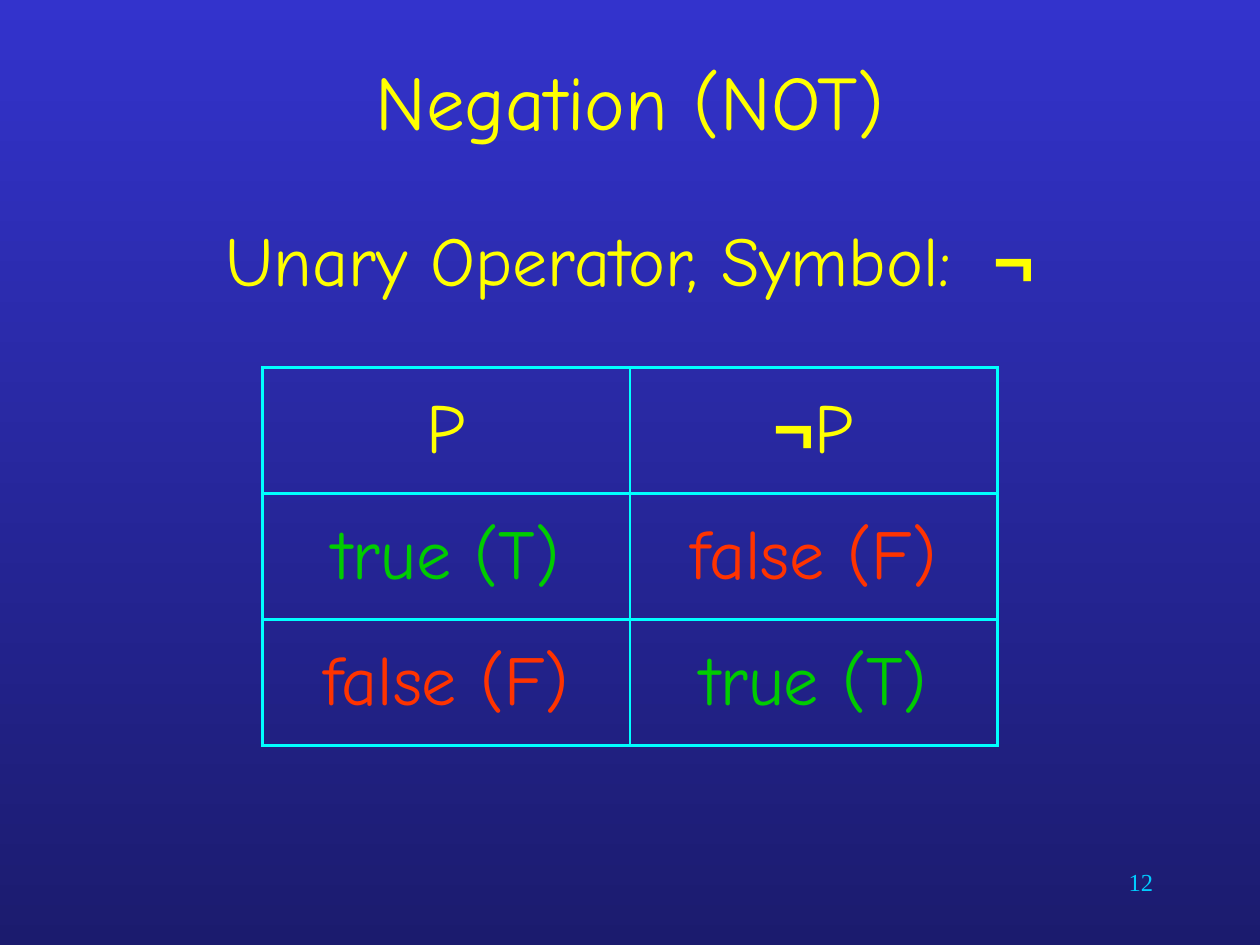
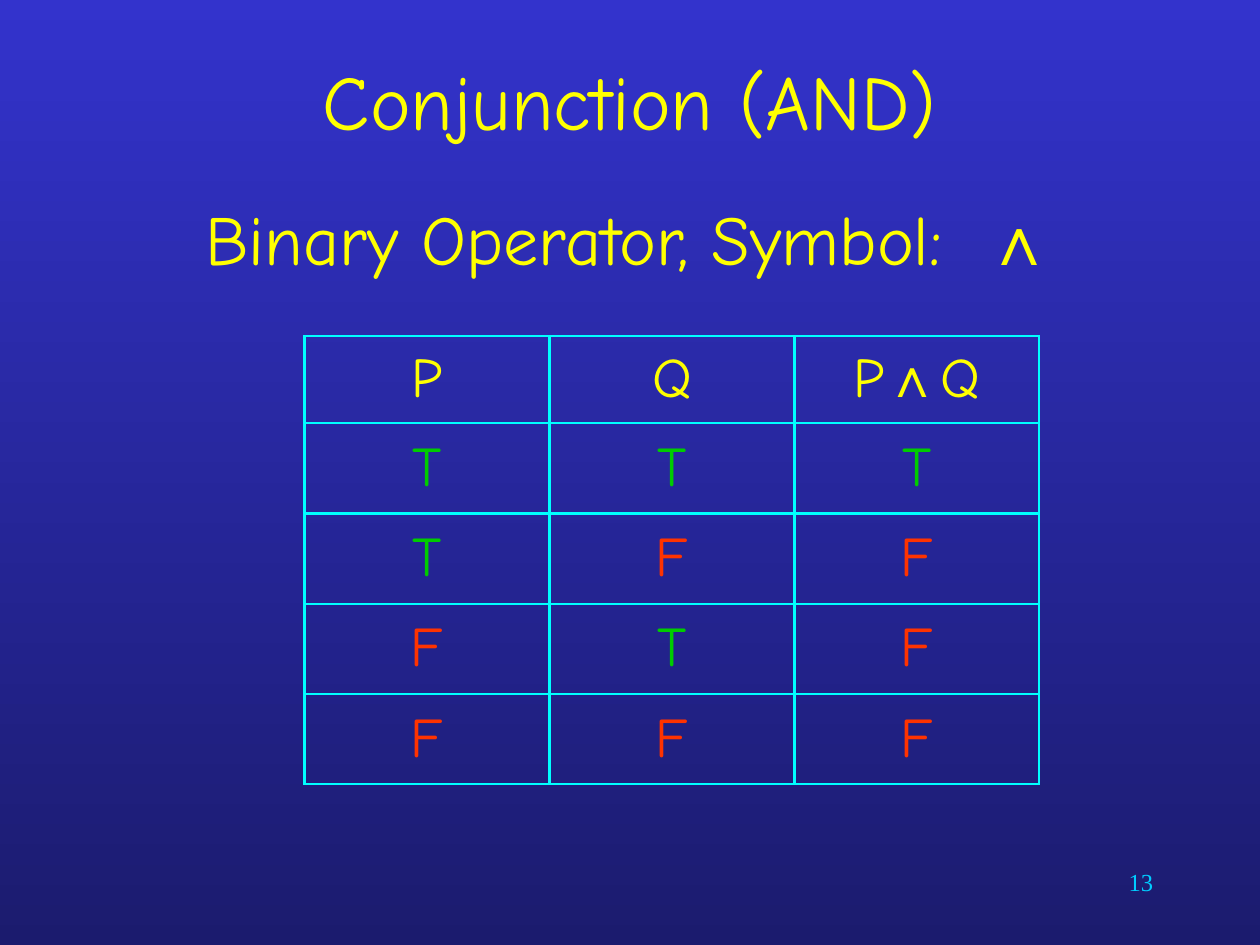
from lxml.etree import SubElement as Sub
from pptx import Presentation
from pptx.dml.color import RGBColor as Rgb
from pptx.enum.text import MSO_ANCHOR as Anchor, MSO_AUTO_SIZE as Auto, PP_ALIGN as Align
from pptx.oxml.ns import qn
from pptx.util import Inches, Pt

WIDE, HIGH = Inches(10), Inches(7.5)
UNIT = WIDE // 120
TOP, BASE = Rgb(0x33, 0x33, 0xCC), Rgb(0x1B, 0x1B, 0x6E)
GOLD, AQUA, SKY = Rgb(0xFF, 0xFF, 0), Rgb(0, 0xFF, 0xFF), Rgb(0, 0xCC, 0xFF)
GREEN, RED = Rgb(0, 0xCC, 0), Rgb(0xFF, 0x33, 0)
COMIC, ARIAL, TIMES = "Comic Neue", "Arial", "Times New Roman"
NOT, AND = "¬", "∧"


def grid(*cells):
    return [round(cell * UNIT) for cell in cells]


def add_run(para, text, size, color=GOLD, face=COMIC, bold=False):
    run = para.add_run()
    run.text = text
    font = run.font
    font.size, font.name, font.bold = Pt(size), face, bold
    font.color.rgb = color
    return run


def add_box(slide, *place):
    frame = slide.shapes.add_textbox(*grid(*place)).text_frame
    frame.word_wrap = True
    return frame.paragraphs[0]


def paint(slide):
    fill = slide.background.fill
    fill.gradient()
    fill.gradient_angle = 270
    for stop, color in zip(fill.gradient_stops, (TOP, BASE)):
        stop.color.rgb = color


def add_title(slide, text):
    title = slide.shapes.title
    title.left, title.top, title.width, title.height = grid(9, 5, 102, 9)
    frame = title.text_frame
    frame.auto_size, frame.vertical_anchor = Auto.NONE, Anchor.MIDDLE
    para = frame.paragraphs[0]
    para.alignment = Align.CENTER
    add_run(para, text, 44)


def add_lead(slide, top, text, sign):
    para = add_box(slide, 7, top, 106, 11)
    para.alignment = Align.CENTER
    add_run(para, text, 40)
    gap = add_run(para, " ", 40)
    gap._r.get_or_add_rPr().set("spc", "1100")
    add_run(para, sign, 40, face=ARIAL, bold=True)


def add_page(slide, page):
    para = add_box(slide, 86, 82, 25, 6)
    para.alignment = Align.RIGHT
    add_run(para, str(page), 14, SKY, TIMES)


def add_edges(cell):
    props = cell._tc.get_or_add_tcPr()
    for side in ("lnL", "lnR", "lnT", "lnB"):
        line = Sub(props, qn("a:" + side), w=str(Pt(1.47)))
        fill = Sub(line, qn("a:solidFill"))
        Sub(fill, qn("a:srgbClr"), val=str(AQUA))


def fill_cell(cell, text, size):
    add_edges(cell)
    cell.fill.background()
    cell.vertical_anchor = Anchor.MIDDLE
    para = cell.text_frame.paragraphs[0]
    para.alignment = Align.CENTER
    if text[0] in "tT":
        add_run(para, text, size, GREEN)
    elif text[0] in "fF":
        add_run(para, text, size, RED)
    else:
        for sign in text:
            face = ARIAL if sign in NOT + AND else COMIC
            add_run(para, sign, size, face=face, bold=sign == NOT)


def add_truth(slide, left, top, steps, size, rows):
    cols = len(rows[0])
    place = grid(left, top, 70, sum(steps))
    table = slide.shapes.add_table(len(rows), cols, *place).table
    table.first_row = table.horz_banding = False
    for col in table.columns:
        col.width = grid(70 / cols)[0]
    for row, step, words in zip(table.rows, steps, rows):
        row.height = grid(step)[0]
        for cell, word in zip(row.cells, words):
            fill_cell(cell, word, size)


def add_slide(deck, page, title, top, lead, sign):
    slide = deck.slides.add_slide(deck.slide_layouts[5])
    paint(slide)
    add_title(slide, title)
    add_lead(slide, top, lead, sign)
    add_page(slide, page)
    return slide


def main():
    deck = Presentation()
    deck.slide_width, deck.slide_height = WIDE, HIGH

    slide = add_slide(deck, 12, "Negation (NOT)", 20, "Unary Operator, Symbol:", NOT)
    yes, no = "true (T)", "false (F)"
    add_truth(slide, 25, 35, [12] * 3, 40, [("P", NOT + "P"), (yes, no), (no, yes)])

    slide = add_slide(deck, 13, "Conjunction (AND)", 18, "Binary Operator, Symbol:", AND)
    rows = [("P", "Q", f"P{AND}Q"), "TTT", "TFF", "FTF", "FFF"]
    add_truth(slide, 29, 32, [8.3] + [8.6] * 4, 32, rows)

    deck.save("out.pptx")


if __name__ == "__main__":
    main()
